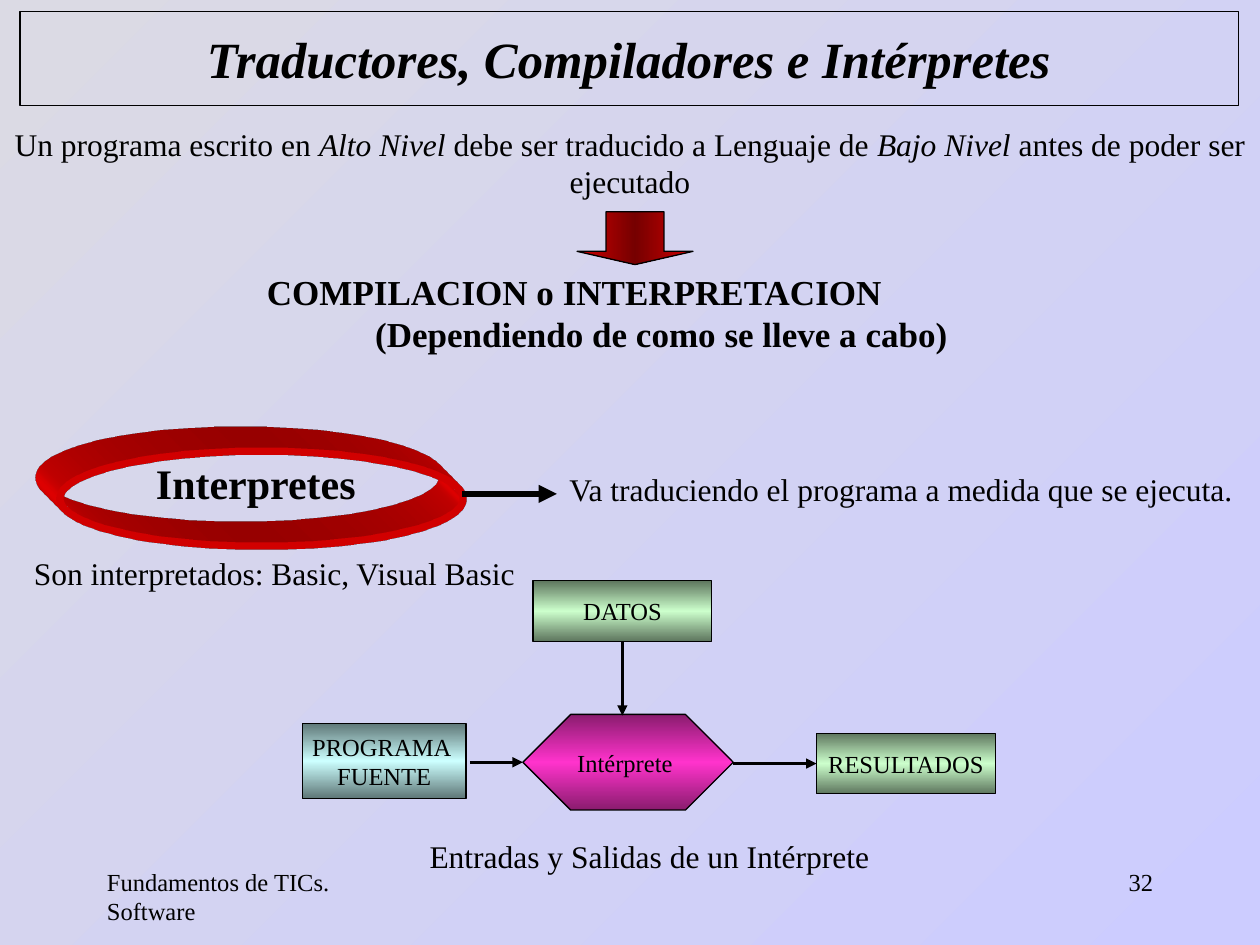
from lxml.etree import SubElement
from pptx import Presentation
from pptx.dml.color import RGBColor
from pptx.enum.shapes import MSO_CONNECTOR, MSO_SHAPE
from pptx.enum.text import MSO_ANCHOR, PP_ALIGN
from pptx.oxml.ns import qn
from pptx.util import Inches, Pt

FONT = "Times New Roman"
BLACK = "000000"
GREEN = ("5E765E", "CCFFCC", "5E765E")
CYAN = ("5E7676", "CCFFFF", "5E7676")
PINK = ("8A1C6E", "FF33CC", "8A1C6E")
RED = ("D00000", "760000", "D00000")


def rgb(value):
    return RGBColor.from_string(value)


def gradient(fill, element, colors, angle):
    fill.gradient()
    fill.gradient_angle = -angle % 360
    stops = element.find(".//" + qn("a:gsLst"))
    for gs in list(stops):
        stops.remove(gs)
    for i, color in enumerate(colors):
        gs = SubElement(stops, qn("a:gs"), pos=str(100000 * i // (len(colors) - 1)))
        SubElement(gs, qn("a:srgbClr"), val=color)


def style_run(r, size, bold=False, italic=False):
    r.font.name = FONT
    r.font.size = Pt(size)
    r.font.bold = bold
    r.font.italic = italic
    r.font.color.rgb = rgb(BLACK)


def write(sp, text, size, align=PP_ALIGN.CENTER, bold=False, italic=False, wrap=True):
    tf = sp.text_frame
    tf.word_wrap = wrap
    tf.text = text
    for p in tf.paragraphs:
        p.alignment = align
        for r in p.runs:
            style_run(r, size, bold, italic)
    return tf


def add_text(s, box, text, size=18, align=PP_ALIGN.CENTER, bold=False):
    sp = s.shapes.add_textbox(*map(Inches, box))
    return write(sp, text, size, align, bold)


def add_block(s, kind, box, colors=None, angle=90, text="", line=BLACK, width=0.75):
    sp = s.shapes.add_shape(kind, *map(Inches, box))
    sp.shadow.inherit = False
    sp.line.color.rgb = rgb(line)
    sp.line.width = Pt(width)
    if colors:
        gradient(sp.fill, sp._element, colors, angle)
    else:
        sp.fill.background()
    if text:
        write(sp, text, 14, wrap=False).vertical_anchor = MSO_ANCHOR.MIDDLE
    return sp


def add_arrow(s, x1, y1, x2, y2, width=1.75):
    c = s.shapes.add_connector(MSO_CONNECTOR.STRAIGHT, *map(Inches, (x1, y1, x2, y2)))
    c.line.color.rgb = rgb(BLACK)
    c.line.width = Pt(width)
    SubElement(c.line._get_or_add_ln(), qn("a:tailEnd"), type="triangle")
    SubElement(c._element.spPr, qn("a:effectLst"))
    return c


def extrude(sp, depth, color):
    spPr = sp._element.spPr
    scene = SubElement(spPr, qn("a:scene3d"))
    SubElement(scene, qn("a:camera"), prst="legacyObliqueTopLeft")
    SubElement(scene, qn("a:lightRig"), rig="legacyFlat3", dir="b")
    solid = SubElement(spPr, qn("a:sp3d"), extrusionH=str(depth),
                       prstMaterial="legacyMatte")
    SubElement(SubElement(solid, qn("a:extrusionClr")), qn("a:srgbClr"), val=color)


def add_heading(s):
    title = add_block(s, MSO_SHAPE.RECTANGLE, (0.16, 0.09, 9.67, 0.75))
    tf = write(title, "Traductores, Compiladores e Intérpretes", 29, bold=True, italic=True)
    tf.vertical_anchor = MSO_ANCHOR.MIDDLE

    tf = add_text(s, (0, 0.94, 10, 0.7), "Un programa escrito en ")
    for text, italic in (("Alto Nivel", True), (" debe ser traducido a Lenguaje de ", False),
                         ("Bajo Nivel", True), (" antes de poder ser ejecutado", False)):
        r = tf.paragraphs[0].add_run()
        r.text = text
        style_run(r, 18, italic=italic)

    arrow = add_block(s, MSO_SHAPE.DOWN_ARROW, (4.58, 1.68, 0.92, 0.42), RED, 0)
    arrow.adjustments[1] = 0.25
    tf = add_text(s, (1.42, 2.1, 7.67, 0.77),
                  "COMPILACION o INTERPRETACION\v(Dependiendo de como se lleve a cabo)",
                  20, PP_ALIGN.LEFT, True)
    pPr = tf.paragraphs[0]._p.get_or_add_pPr()
    pPr.set("marL", str(Inches(1.46)))
    pPr.set("indent", str(Inches(-0.86)))


def add_interpreters(s):
    ring = add_block(s, MSO_SHAPE.OVAL, (0.48, 3.58, 3.19, 0.75), line="FF0000", width=4.25)
    extrude(ring, Inches(0.47), "FF0000")
    tf = add_text(s, (0.42, 3.68, 3.22, 0.41), "Interpretes", 24, bold=True)
    tf.paragraphs[0].line_spacing = Pt(22)
    add_arrow(s, 3.67, 3.92, 4.42, 3.92, 3.5)
    add_text(s, (4.42, 3.68, 5.58, 0.4),
             "Va traduciendo el programa a medida que se ejecuta.", align=PP_ALIGN.LEFT)
    add_text(s, (0.17, 4.35, 4.33, 0.4),
             "Son interpretados: Basic, Visual Basic", align=PP_ALIGN.LEFT)


def add_diagram(s):
    hexagon = add_block(s, MSO_SHAPE.HEXAGON, (4.15, 5.67, 1.67, 0.76), PINK,
                        text="Intérprete ")
    hexagon.adjustments[0] = 0.5
    add_block(s, MSO_SHAPE.RECTANGLE, (2.4, 5.74, 1.3, 0.6), CYAN, text="PROGRAMA \nFUENTE")
    data = add_block(s, MSO_SHAPE.RECTANGLE, (4.23, 4.61, 1.42, 0.48), GREEN, text="DATOS")
    results = add_block(s, MSO_SHAPE.RECTANGLE, (6.48, 5.82, 1.42, 0.48), GREEN,
                        text="RESULTADOS")
    add_arrow(s, 3.73, 6.05, 4.15, 6.05)
    add_arrow(s, 5.82, 6.06, 6.48, 6.06).end_connect(results, 1)
    add_arrow(s, 4.94, 5.09, 4.94, 5.68).begin_connect(data, 2)
    add_text(s, (2.57, 6.59, 5.17, 0.4), "Entradas y Salidas de un Intérprete")


def main():
    prs = Presentation()
    prs.slide_width, prs.slide_height = Inches(10), Inches(7.5)
    s = prs.slides.add_slide(prs.slide_layouts[6])
    gradient(s.background.fill, s._element, ("DBDAE4", "CCCCFF"), 45)
    add_heading(s)
    add_interpreters(s)
    add_diagram(s)
    add_text(s, (0.75, 6.83, 2.08, 0.5), "Fundamentos de TICs. Software", 14, PP_ALIGN.LEFT)
    add_text(s, (7.17, 6.83, 2.08, 0.5), "32", 14, PP_ALIGN.RIGHT)
    prs.save("out.pptx")


if __name__ == "__main__":
    main()
